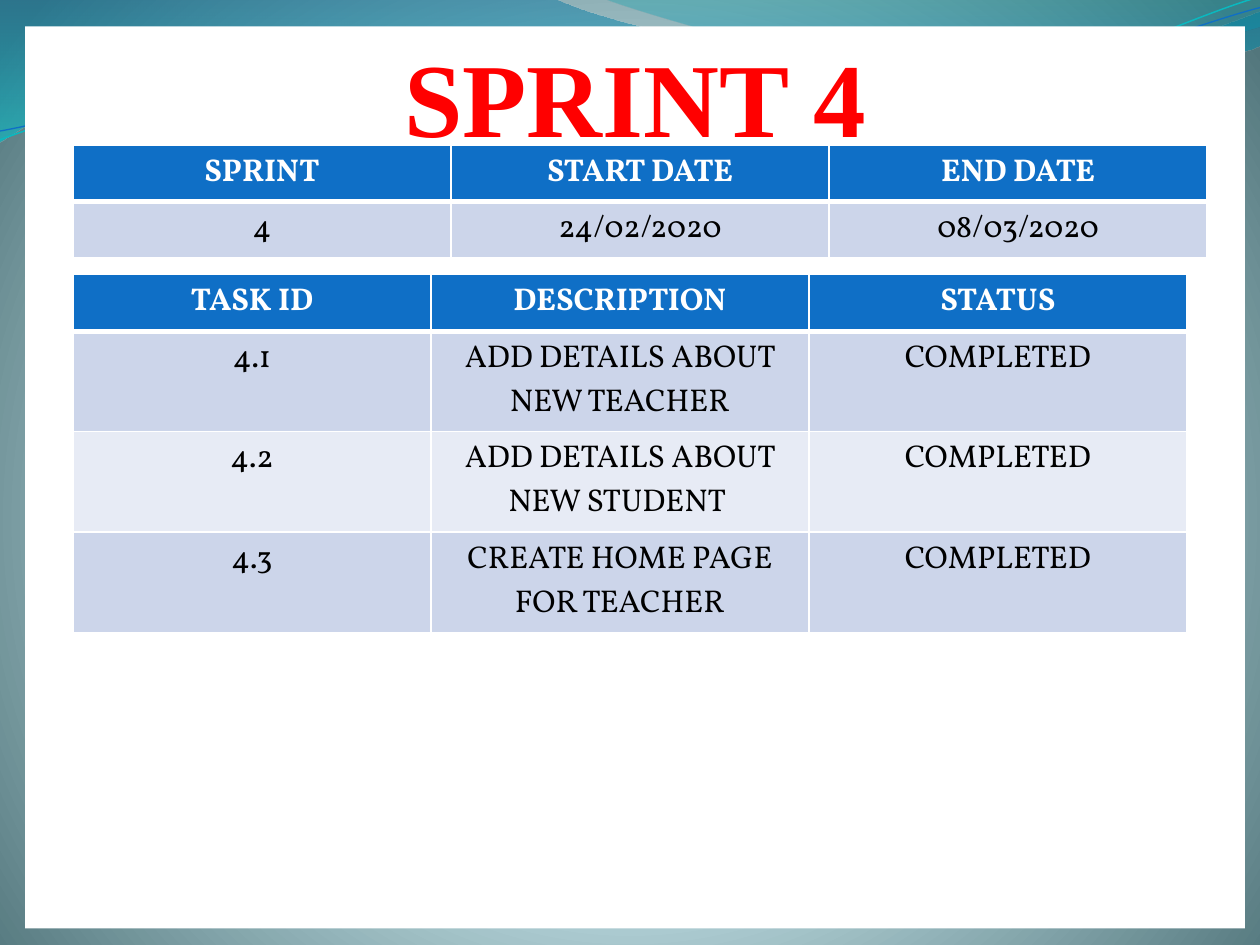
from dataclasses import dataclass
from math import cos, radians, sin

from pptx import Presentation
from pptx.dml.color import RGBColor
from pptx.enum.shapes import MSO_SHAPE
from pptx.enum.text import MSO_ANCHOR, PP_ALIGN
from pptx.oxml import parse_xml
from pptx.oxml.ns import nsdecls, qn
from pptx.slide import Slide
from pptx.table import _Cell
from pptx.util import Inches, Pt

WHITE = RGBColor(0xFF, 0xFF, 0xFF)
BLACK = RGBColor(0x00, 0x00, 0x00)
RED = RGBColor(0xFF, 0x00, 0x00)
BLUE = RGBColor(0x0F, 0x6F, 0xC6)
TEAL = RGBColor(0x0A, 0xB8, 0xBF)
BAND_DARK = RGBColor(0xCC, 0xD5, 0xEA)
BAND_LIGHT = RGBColor(0xE7, 0xEB, 0xF5)
SKY = RGBColor(0xDE, 0xFB, 0xFF)
PALE_SKY = RGBColor(0xDD, 0xFA, 0xFF)
SLATE = RGBColor(0x52, 0x76, 0x7C)
WAVE_BLUE = RGBColor(0x00, 0x74, 0xA1)
WAVE_CYAN = RGBColor(0x00, 0xC6, 0xCF)
CREST_TEAL = RGBColor(0x00, 0xA1, 0xA9)
CREST_BLUE = RGBColor(0x00, 0x8B, 0xBF)

LINEAR_DOWN = '<a:lin ang="5400000" scaled="1"/>'
CIRCLE = (
    '<a:path path="circle">'
    '<a:fillToRect l="10000" t="110000" r="10000" b="100000"/></a:path>'
)


@dataclass(frozen=True)
class GradientStop:
    position: int
    color: RGBColor
    opacity: int = 100


@dataclass(frozen=True)
class Wave:
    box: tuple[float, float, float, float]
    start: tuple[float, float]
    segments: list[tuple[float, ...]]
    stops: tuple[GradientStop, ...] = ()
    line_color: RGBColor = BLUE
    line_width: float = 0
    rotation: float = 0


@dataclass(frozen=True)
class Grid:
    top: float
    column_widths: list[float]
    header_height: float
    body_height: float
    rows: list[list[str]]


WAVES = [
    Wave(
        (-0.01, -0.01, 10.02, 1.14),
        (0, 0),
        [
            (4.4, -0.01),
            (4.76, 0.17, 6.64, 0.63, 7.58, 0.63),
            (8.53, 0.63, 9.58, 0.26, 10, 0.09),
            (10.01, 0.36),
            (9.83, 0.44, 8.7, 0.76, 7.46, 0.75),
            (6.22, 0.75, 3.82, 0.28, 2.57, 0.34),
            (1.29, 0.36, 0.46, 0.83, -0.01, 1.13),
            (0, 0),
        ],
        (GradientStop(0, WAVE_BLUE, 45), GradientStop(100, WAVE_CYAN, 55)),
    ),
    Wave(
        (4.79, -0.01, 5.21, 0.7),
        (4.79, -0.01),
        [
            (5.09, 0.11, 6.82, 0.62, 7.69, 0.65),
            (8.56, 0.69, 9.61, 0.32, 10, 0.21),
            (10, 0),
            (4.79, -0.01),
        ],
        (GradientStop(0, CREST_TEAL, 30), GradientStop(80, CREST_BLUE, 45)),
    ),
    Wave(
        (-0.02, 0.22, 10.02, 0.71),
        (0, 1.11),
        [
            (0.48, 0.93, 1.58, 0.57, 2.77, 0.52),
            (3.95, 0.47, 5.93, 0.89, 7.13, 0.8),
            (8.33, 0.71, 9.38, 0.15, 9.98, -0.02),
        ],
        line_color=TEAL,
        line_width=0.85,
        rotation=357.3,
    ),
    Wave(
        (-0.02, 0.3, 10.03, 0.58),
        (0, 1.04),
        [
            (0.47, 0.96, 1.64, 0.61, 2.83, 0.56),
            (4.03, 0.51, 5.97, 0.84, 7.17, 0.75),
            (8.36, 0.67, 9.41, 0.21, 10, 0.06),
        ],
        line_width=0.75,
        rotation=357.3,
    ),
]

GRIDS = [
    Grid(1.15, [3, 3, 3], 0.4, 0.41,
         [["SPRINT", "START DATE", "END DATE"], ["4", "24/02/2020", "08/03/2020"]]),
    Grid(2.18, [2.84, 3, 3], 0.35, 0.61, [
        ["TASK ID", "DESCRIPTION", "STATUS"],
        ["4.1", "ADD DETAILS ABOUT NEW TEACHER", "COMPLETED"],
        ["4.2", "ADD DETAILS ABOUT NEW STUDENT ", "COMPLETED"],
        ["4.3", "CREATE HOME PAGE FOR TEACHER", "COMPLETED"],
    ]),
]


def apply_gradient(properties, stops: tuple[GradientStop, ...], direction: str) -> None:
    stop_xml = "".join(
        f'<a:gs pos="{stop.position * 1000}"><a:srgbClr val="{stop.color}">'
        f'<a:alpha val="{stop.opacity * 1000}"/></a:srgbClr></a:gs>'
        for stop in stops
    )
    gradient = parse_xml(
        f'<a:gradFill {nsdecls("a")} rotWithShape="1">'
        f"<a:gsLst>{stop_xml}</a:gsLst>{direction}</a:gradFill>"
    )
    properties.replace(properties.find(qn("a:solidFill")), gradient)


def point_xml(wave: Wave, x: float, y: float) -> str:
    left, top, width, height = wave.box
    angle = radians(-wave.rotation)
    across, down = x - left - width / 2, y - top - height / 2
    local_x = across * cos(angle) - down * sin(angle) + width / 2
    local_y = across * sin(angle) + down * cos(angle) + height / 2
    return f'<a:pt x="{Inches(local_x)}" y="{Inches(local_y)}"/>'


def outline_xml(wave: Wave) -> str:
    commands = [f"<a:moveTo>{point_xml(wave, *wave.start)}</a:moveTo>"]
    for segment in wave.segments:
        tag = "lnTo" if len(segment) == 2 else "cubicBezTo"
        pairs = zip(segment[::2], segment[1::2])
        points = "".join(point_xml(wave, x, y) for x, y in pairs)
        commands.append(f"<a:{tag}>{points}</a:{tag}>")
    if wave.stops:
        commands.append("<a:close/>")
    width, height = (Inches(length) for length in wave.box[2:])
    return (
        f'<a:pathLst {nsdecls("a")}><a:path w="{width}" h="{height}">'
        f'{"".join(commands)}</a:path></a:pathLst>'
    )


def draw_wave(slide: Slide, wave: Wave) -> None:
    builder = slide.shapes.build_freeform(*(Inches(value) for value in wave.start))
    builder.add_line_segments(
        [(Inches(segment[-2]), Inches(segment[-1])) for segment in wave.segments],
        close=False,
    )
    shape = builder.convert_to_shape()
    shape.left, shape.top, shape.width, shape.height = map(Inches, wave.box)
    shape.rotation = wave.rotation
    shape.shadow.inherit = False
    geometry = shape._element.spPr.find(qn("a:custGeom"))
    geometry.replace(geometry.find(qn("a:pathLst")), parse_xml(outline_xml(wave)))
    if wave.stops:
        shape.fill.solid()
        shape.fill.fore_color.rgb = wave.stops[0].color
        apply_gradient(shape._element.spPr, wave.stops, LINEAR_DOWN)
        shape.line.fill.background()
    else:
        shape.fill.background()
        shape.line.color.rgb = wave.line_color
        shape.line.width = Pt(wave.line_width)


def draw_panel(slide: Slide) -> None:
    panel = slide.shapes.add_shape(
        MSO_SHAPE.RECTANGLE, Inches(0.2), Inches(0.21), Inches(9.68), Inches(7.16)
    )
    panel.shadow.inherit = False
    panel.fill.solid()
    panel.fill.fore_color.rgb = WHITE
    panel.line.fill.background()
    text_frame = panel.text_frame
    text_frame.vertical_anchor = MSO_ANCHOR.TOP
    text_frame.text = "SPRINT 4"
    paragraph = text_frame.paragraphs[0]
    paragraph.alignment = PP_ALIGN.CENTER
    paragraph.space_before = Pt(7)
    font = paragraph.runs[0].font
    font.name, font.size, font.bold = "Times New Roman", Pt(60), True
    font.color.rgb = RED


def format_cell(cell: _Cell, text: str, row_index: int) -> None:
    header = row_index == 0
    cell.text_frame.text = text
    paragraph = cell.text_frame.paragraphs[0]
    paragraph.alignment = PP_ALIGN.CENTER
    font = paragraph.runs[0].font
    font.name, font.size, font.bold = "Vollkorn", Pt(18), header
    font.color.rgb = WHITE if header else BLACK
    cell.fill.solid()
    band = BAND_DARK if row_index % 2 else BAND_LIGHT
    cell.fill.fore_color.rgb = BLUE if header else band
    properties = cell._tc.get_or_add_tcPr()
    for index, side in enumerate("LRTB"):
        thick = (header and side == "B") or (row_index == 1 and side == "T")
        border = parse_xml(
            f'<a:ln{side} {nsdecls("a")} w="{Pt(3 if thick else 1)}">'
            f'<a:solidFill><a:srgbClr val="{WHITE}"/></a:solidFill></a:ln{side}>'
        )
        properties.insert(index, border)


def draw_grid(slide: Slide, grid: Grid) -> None:
    heights = [grid.header_height] + [grid.body_height] * (len(grid.rows) - 1)
    table = slide.shapes.add_table(
        len(grid.rows), len(grid.column_widths), Inches(0.58), Inches(grid.top),
        Inches(sum(grid.column_widths)), Inches(sum(heights)),
    ).table
    for column, width in zip(table.columns, grid.column_widths):
        column.width = Inches(width)
    for row_index, (row, height) in enumerate(zip(table.rows, heights)):
        row.height = Inches(height)
        for cell, text in zip(row.cells, grid.rows[row_index]):
            format_cell(cell, text, row_index)


def main() -> None:
    presentation = Presentation()
    presentation.slide_width, presentation.slide_height = Inches(10), Inches(7.5)
    slide = presentation.slides.add_slide(presentation.slide_layouts[6])
    background = slide.background.fill
    background.solid()
    background.fore_color.rgb = SKY
    stops = (GradientStop(0, SKY), GradientStop(25, PALE_SKY), GradientStop(100, SLATE))
    apply_gradient(slide._element.cSld.bg.bgPr, stops, CIRCLE)
    for wave in WAVES:
        draw_wave(slide, wave)
    draw_panel(slide)
    for grid in GRIDS:
        draw_grid(slide, grid)
    presentation.save("out.pptx")


if __name__ == "__main__":
    main()
